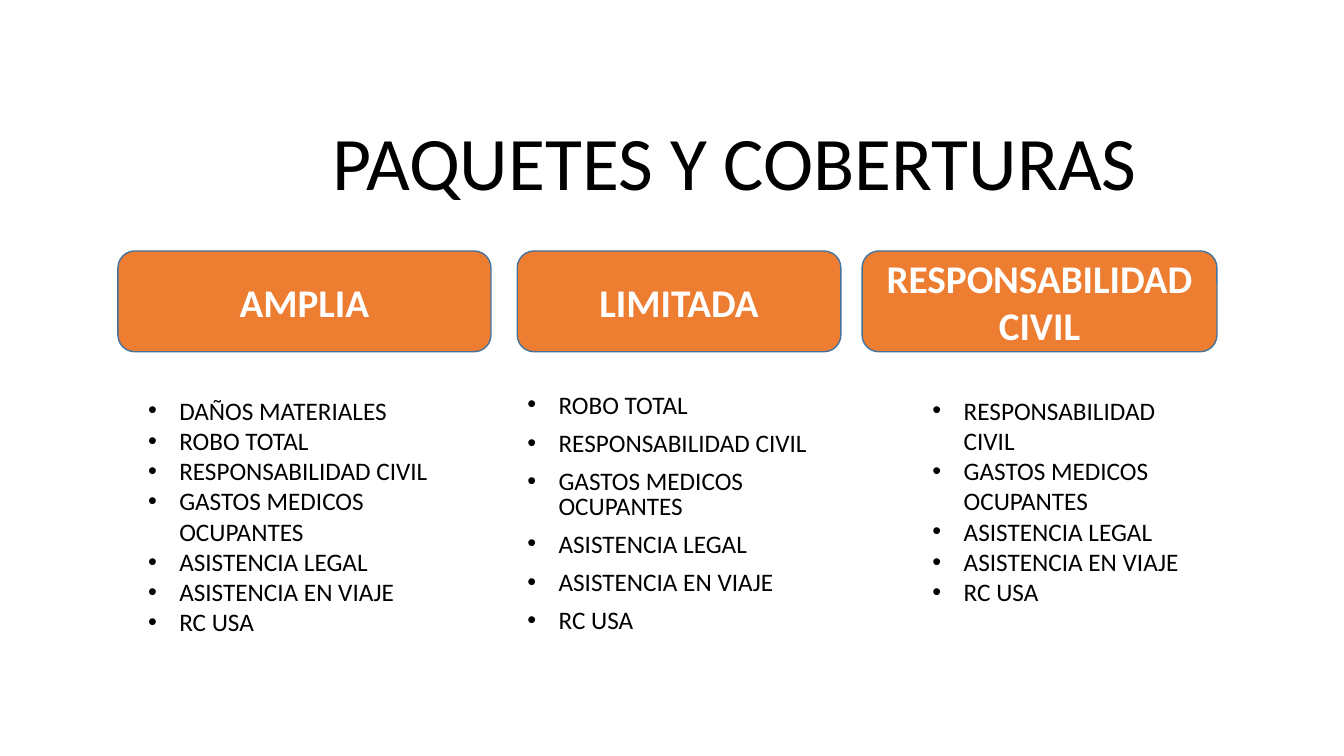
from lxml.etree import SubElement
from pptx import Presentation
from pptx.dml.color import RGBColor
from pptx.enum.shapes import MSO_SHAPE as SHAPE
from pptx.enum.text import MSO_ANCHOR as ANCHOR, MSO_AUTO_SIZE as FIT, PP_ALIGN as ALIGN
from pptx.oxml.ns import qn
from pptx.util import Inches, Pt

ORANGE, BLUE, BLACK, WHITE = "ED7D31", "43739E", "000000", "FFFFFF"
TITLE_BOX = (1.17, 0.76, 10.9, 2.21)
HEADER_TOP, HEADER_HEIGHT, LIST_TOP = 2.49, 1, 3.87
LIST_INDENT = 0.31

COMMON = ["GASTOS MEDICOS OCUPANTES", "ASISTENCIA LEGAL", "ASISTENCIA EN VIAJE", "RC USA"]
LIABILITY = ["RESPONSABILIDAD CIVIL"] + COMMON
LIMITED = ["ROBO TOTAL"] + LIABILITY
FULL = ["DAÑOS MATERIALES"] + LIMITED

LOOSE = {"line_spacing": 0.8, "space_before": Pt(10)}
TIGHT = {"line_spacing": 1.0, "space_before": Pt(0)}


def color(hex_value):
    return RGBColor.from_string(hex_value)


def apply(target, formats):
    for name, value in formats.items():
        setattr(target, name, value)


def place(shape, box):
    names = ("left", "top", "width", "height")
    apply(shape, {name: Inches(length) for name, length in zip(names, box)})


def write(paragraph, text, size, hex_value, bold=False, **formats):
    run = paragraph.add_run()
    run.text = text
    apply(run.font, {"name": "Calibri", "size": Pt(size), "bold": bold})
    run.font.color.rgb = color(hex_value)
    apply(paragraph, formats)


def add_bullet(paragraph):
    properties = paragraph._p.get_or_add_pPr()
    properties.set("marL", str(Inches(LIST_INDENT)))
    properties.set("indent", str(-Inches(LIST_INDENT)))
    SubElement(properties, qn("a:buFont"), typeface="Arial")
    SubElement(properties, qn("a:buChar"), char="•")


def fill_title(title, box):
    place(title, box)
    frame = title.text_frame
    apply(frame, {"word_wrap": True, "auto_size": FIT.NONE, "vertical_anchor": ANCHOR.BOTTOM,
                  "margin_left": Inches(1.44), "margin_bottom": Inches(0.92)})
    write(frame.paragraphs[0], "PAQUETES Y COBERTURAS", 54, BLACK,
          alignment=ALIGN.CENTER, line_spacing=0.9)


def add_header(slide, text, box):
    header = slide.shapes.add_shape(SHAPE.ROUNDED_RECTANGLE, *map(Inches, box))
    header.shadow.inherit = False
    header.fill.solid()
    header.fill.fore_color.rgb = color(ORANGE)
    header.line.color.rgb = color(BLUE)
    header.line.width = Pt(1)
    frame = header.text_frame
    apply(frame, {"word_wrap": True, "vertical_anchor": ANCHOR.MIDDLE})
    write(frame.paragraphs[0], text, 28, WHITE, bold=True, alignment=ALIGN.CENTER)


def fill_list(holder, items, box, spacing):
    place(holder, box)
    frame = holder.text_frame
    apply(frame, {"word_wrap": True, "auto_size": FIT.NONE, "vertical_anchor": ANCHOR.TOP})
    for index, item in enumerate(items):
        paragraph = frame.add_paragraph() if index else frame.paragraphs[0]
        write(paragraph, item, 18, BLACK, alignment=ALIGN.LEFT, **spacing)
        add_bullet(paragraph)


def build_packages(slide):
    title, limited_list = slide.placeholders
    fill_title(title, TITLE_BOX)
    full_list, liability_list = (slide.shapes.add_textbox(0, 0, 0, 0) for _ in range(2))
    packages = [
        ("AMPLIA", 1.17, 3.7, full_list, FULL, (1.37, LIST_TOP, 3.33, 2.83), TIGHT),
        ("LIMITADA", 5.13, 3.21, limited_list, LIMITED, (5.13, LIST_TOP, 3.33, 2.52), LOOSE),
        ("RESPONSABILIDAD CIVIL", 8.55, 3.52, liability_list, LIABILITY,
         (9.15, LIST_TOP, 2.75, 2.22), TIGHT),
    ]
    for name, left, width, holder, coverages, list_box, spacing in packages:
        add_header(slide, name, (left, HEADER_TOP, width, HEADER_HEIGHT))
        fill_list(holder, coverages, list_box, spacing)


def main():
    deck = Presentation()
    apply(deck, {"slide_width": Inches(13.33), "slide_height": Inches(7.5)})
    build_packages(deck.slides.add_slide(deck.slide_layouts[0]))
    deck.save("out.pptx")


if __name__ == "__main__":
    main()
